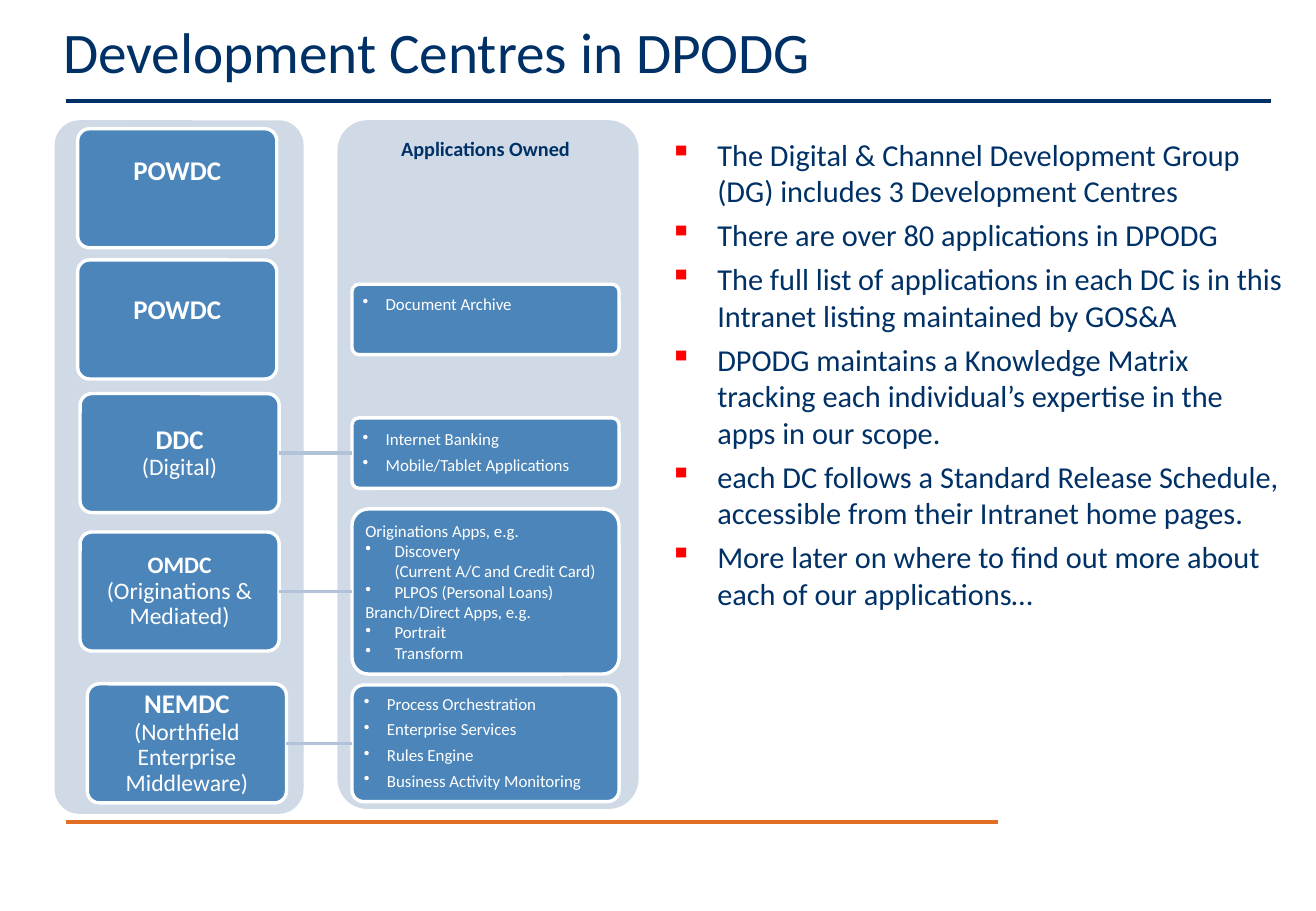
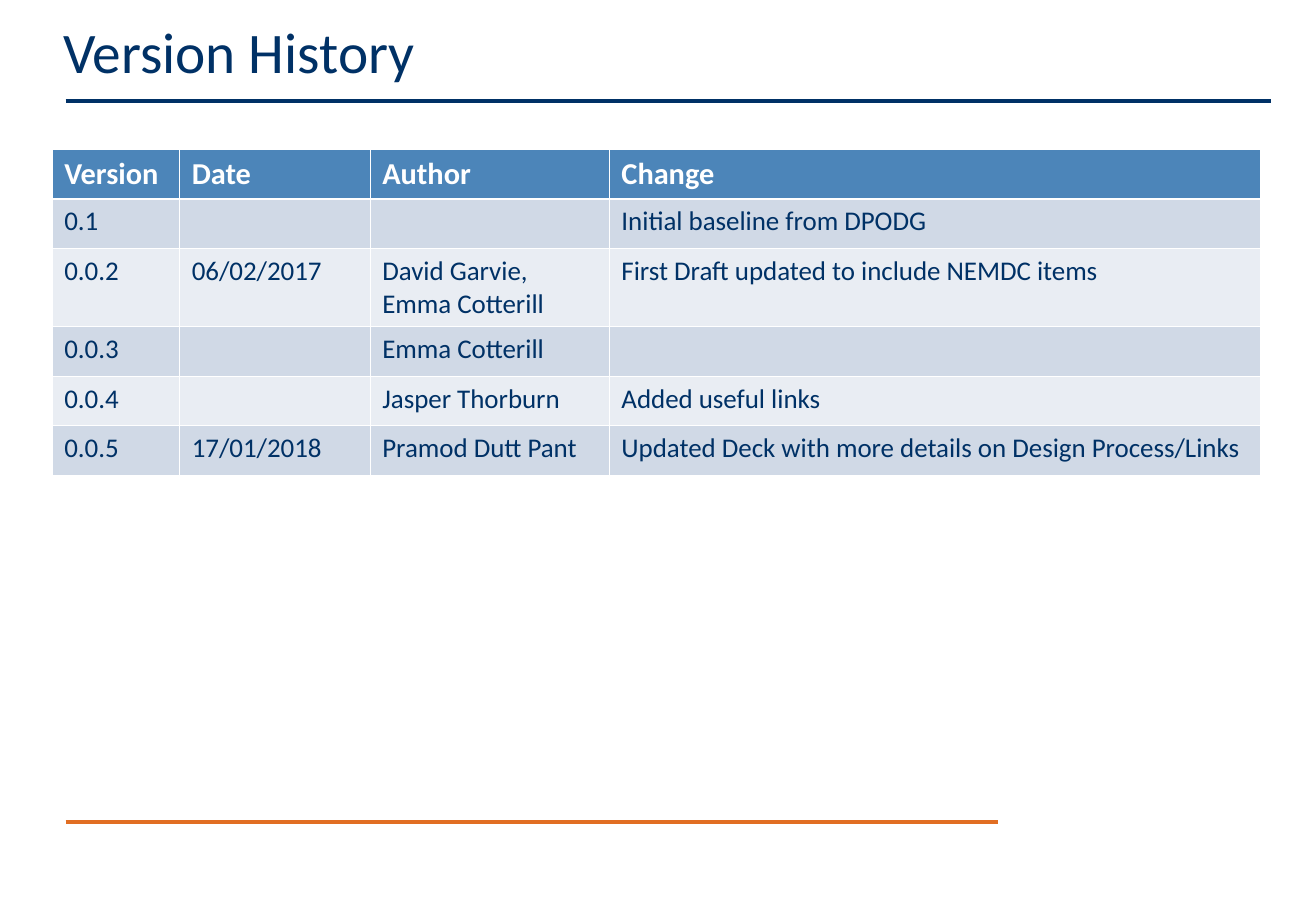
import lxml.etree
import pptx
import pptx.dml.color
import pptx.enum.shapes
import pptx.enum.text
import pptx.oxml.ns
import pptx.util

Inches = pptx.util.Inches
Pt = pptx.util.Pt
RGB = pptx.dml.color.RGBColor
ALIGN = pptx.enum.text.PP_ALIGN
ANCHOR = pptx.enum.text.MSO_ANCHOR
qn = pptx.oxml.ns.qn

NAVY = RGB(0x00, 0x31, 0x66)
ORANGE = RGB(0xE1, 0x6E, 0x23)
BLUE = RGB(0x4C, 0x85, 0xB9)
PALE = RGB(0xD0, 0xD9, 0xE6)
LIGHT = RGB(0xE9, 0xED, 0xF3)
LINK = RGB(0xB2, 0xC2, 0xD9)
RED = RGB(0xFF, 0x00, 0x00)
WHITE = RGB(0xFF, 0xFF, 0xFF)
FONT = "Calibri"


def sub(node, tag, **attrs):
    return lxml.etree.SubElement(node, qn(tag), **attrs)


class Deck:
    def __init__(self):
        self.show = pptx.Presentation()
        self.show.slide_width = Inches(10.84)
        self.show.slide_height = Inches(7.5)
        self.slide = None

    def start(self, title):
        """Add a slide with its title and the two rules."""
        self.slide = self.show.slides.add_slide(self.show.slide_layouts[5])
        head = self.slide.shapes.title
        head.left, head.top = Inches(0.42), Inches(0.08)
        head.width, head.height = Inches(9.96), Inches(0.91)
        frame = head.text_frame
        frame.auto_size = pptx.enum.text.MSO_AUTO_SIZE.NONE
        frame.vertical_anchor = ANCHOR.TOP
        self.fill(frame, [title], 34, NAVY)
        self.line((0.54, 6.77), (8.22, 6.77), ORANGE, 2.25)
        self.line((0.54, 0.83), (10.47, 0.83), NAVY, 2.25)

    def style(self, run, size, color, bold=False):
        run.font.name = FONT
        run.font.size = Pt(size)
        run.font.bold = bold
        run.font.color.rgb = color

    def bullet(self, para, mark, color, indent):
        props = para._p.get_or_add_pPr()
        props.set("marL", str(Inches(indent)))
        props.set("indent", str(-Inches(indent)))
        sub(sub(props, "a:buClr"), "a:srgbClr", val=str(color))
        sub(props, "a:buChar", char=mark)

    def fill(self, frame, lines, size, color, bold=False, align=ALIGN.LEFT,
             mark=None, tint=WHITE, indent=0, plain=(), space=1, before=0,
             after=0):
        """Fill a frame; lines numbered in plain get no bullet."""
        frame.word_wrap = True
        for i, line in enumerate(lines):
            para = frame.add_paragraph() if i else frame.paragraphs[0]
            para.text = line
            if mark and i not in plain:
                self.bullet(para, mark, tint, indent)
            para.alignment = align
            para.line_spacing = space
            para.space_before = Pt(before if i else 0)
            para.space_after = Pt(after)
            for run in para.runs:
                self.style(run, size, color, bold)
            for gap in para._p.findall(qn("a:br")):
                sub(gap, "a:rPr", sz=str(size * 100))

    def line(self, start, end, color, width):
        points = [Inches(n) for n in start + end]
        link = self.slide.shapes.add_connector(
            pptx.enum.shapes.MSO_CONNECTOR.STRAIGHT, *points)
        link.line.color.rgb = color
        link.line.width = Pt(width)
        sub(link._element.spPr, "a:effectLst")
        return link

    def join(self, app, card):
        link = self.line((0, 0), (1, 1), LINK, 2)
        link.begin_connect(app, 1)
        link.end_connect(card, 3)

    def box(self, left, top, width, height, fill, edge=None):
        shape = self.slide.shapes.add_shape(
            pptx.enum.shapes.MSO_SHAPE.ROUNDED_RECTANGLE,
            Inches(left), Inches(top), Inches(width), Inches(height))
        shape.adjustments[0] = 0.1
        shape.shadow.inherit = False
        shape.fill.solid()
        shape.fill.fore_color.rgb = fill
        if edge:
            shape.line.color.rgb = edge
            shape.line.width = Pt(2)
        else:
            shape.line.fill.background()
        return shape

    def tile(self, left, mid, width, height, lift):
        """Blue box centred on mid; lift raises its text."""
        shape = self.box(left, mid - height / 2, width, height, BLUE, WHITE)
        frame = shape.text_frame
        frame.vertical_anchor = ANCHOR.MIDDLE
        frame.margin_left = frame.margin_right = Inches(0.07)
        frame.margin_top = Inches(0.05)
        frame.margin_bottom = Inches(0.05 + lift)
        return shape

    def card(self, left, mid, text, size, lift):
        shape = self.tile(left, mid, 1.64, 0.98, lift)
        self.fill(shape.text_frame, [text], 14, WHITE, align=ALIGN.CENTER,
                  space=0.9)
        name = shape.text_frame.paragraphs[0].runs[0]
        self.style(name, size, WHITE, True)
        return shape

    def app(self, mid, height, lines, lift=0, **look):
        shape = self.tile(2.9, mid, 2.2, height, lift)
        self.fill(shape.text_frame, lines, 10, WHITE, mark="•", **look)
        return shape

    def text(self, left, top, width, height, lines, size, anchor=ANCHOR.TOP,
             **look):
        area = self.slide.shapes.add_textbox(
            Inches(left), Inches(top), Inches(width), Inches(height))
        area.text_frame.vertical_anchor = anchor
        self.fill(area.text_frame, lines, size, NAVY, **look)

    def cell(self, cell, text, head, fill, edges):
        props = cell._tc.get_or_add_tcPr()
        for side, width in zip("LRTB", edges):
            edge = sub(props, "a:ln" + side, w=str(Pt(width)))
            sub(sub(edge, "a:solidFill"), "a:srgbClr", val=str(WHITE))
        cell.fill.solid()
        cell.fill.fore_color.rgb = fill
        if text:
            self.fill(cell.text_frame, [text], 18 if head else 16,
                      WHITE if head else NAVY, bold=head)

    def table(self, left, top, cols, rows, data):
        grid = self.slide.shapes.add_table(
            len(rows), len(cols), Inches(left), Inches(top),
            Inches(sum(cols)), Inches(sum(rows))).table
        for col, width in zip(grid.columns, cols):
            col.width = Inches(width)
        thin, thick = 0.45, 1.47
        for r, (height, line) in enumerate(zip(rows, data)):
            grid.rows[r].height = Inches(height)
            fill = BLUE if r == 0 else PALE if r % 2 else LIGHT
            edges = (thin, thin, thick if r == 1 else thin,
                     thick if r == 0 else thin)
            for c, text in enumerate(line):
                self.cell(grid.cell(r, c), text, r == 0, fill, edges)


def centres(deck):
    deck.start("Development Centres in DPODG")

    # Panels and heading
    deck.box(2.78, 0.99, 2.48, 5.67, PALE)
    deck.box(0.45, 0.99, 2.05, 5.71, PALE)
    deck.text(2.76, 0.85, 2.48, 0.77, ["Applications Owned"], 12,
              ANCHOR.MIDDLE, bold=True, align=ALIGN.CENTER, space=0.9)

    # Centres, from top to bottom
    mids = (1.55, 2.63, 3.73, 4.87, 6.12)
    names = (
        (0.64, "POWDC", 16, 0.27),
        (0.64, "POWDC", 16, 0.14),
        (0.66, "DDC\v(Digital)", 16, 0),
        (0.66, "OMDC\v(Originations & Mediated)", 14, 0),
        (0.72, "NEMDC\v(Northfield Enterprise Middleware)", 16, 0),
    )
    cards = [deck.card(left, mid, text, size, lift)
             for mid, (left, text, size, lift) in zip(mids, names)]

    # Applications of all centres but the first
    loose = dict(indent=0.19, space=0.9, after=4.4)
    apps = [
        deck.app(mids[1], 0.58, ["Document Archive"], lift=0.24, **loose),
        deck.app(mids[2], 0.58,
                 ["Internet Banking", "Mobile/Tablet Applications"], **loose),
        deck.app(mids[3], 1.36,
                 ["Originations Apps, e.g.",
                  "Discovery\v(Current A/C and Credit Card)",
                  "PLPOS (Personal Loans)",
                  "Branch/Direct Apps, e.g.",
                  "Portrait",
                  "Transform"], indent=0.24, plain=(0, 3)),
        deck.app(mids[4], 0.96,
                 ["Process Orchestration", "Enterprise Services",
                  "Rules Engine", "Business Activity Monitoring"], **loose),
    ]
    for app, card in zip(apps[1:], cards[2:]):
        deck.join(app, card)

    # Key points
    deck.text(5.42, 1.07, 5.25, 5.59, [
        "The Digital & Channel Development Group (DG) includes 3 "
        "Development Centres",
        "There are over 80 applications in DPODG",
        "The full list of applications in each DC is in this Intranet "
        "listing maintained by GOS&A",
        "DPODG maintains a Knowledge Matrix tracking each individual’s "
        "expertise in the apps in our scope.",
        "each DC follows a Standard Release Schedule, accessible from "
        "their Intranet home pages.",
        "More later on where to find out more about each of our "
        "applications…",
    ], 18, mark="▪", tint=RED, indent=0.39, before=4.5)


def history(deck):
    deck.start("Version History")
    deck.table(0.43, 1.23, (1.05, 1.57, 1.97, 5.36),
               (0.41, 0.4, 0.63, 0.41, 0.4, 0.41), (
        ("Version", "Date", "Author", "Change"),
        ("0.1", "", "", "Initial baseline from DPODG"),
        ("0.0.2", "06/02/2017", "David Garvie, Emma Cotterill",
         "First Draft updated to include NEMDC items"),
        ("0.0.3", "", "Emma Cotterill", ""),
        ("0.0.4", "", "Jasper Thorburn", "Added useful links"),
        ("0.0.5", "17/01/2018", "Pramod Dutt Pant",
         "Updated Deck with more details on Design Process/Links"),
    ))


def main():
    deck = Deck()
    centres(deck)
    history(deck)
    deck.show.save("out.pptx")


if __name__ == "__main__":
    main()
